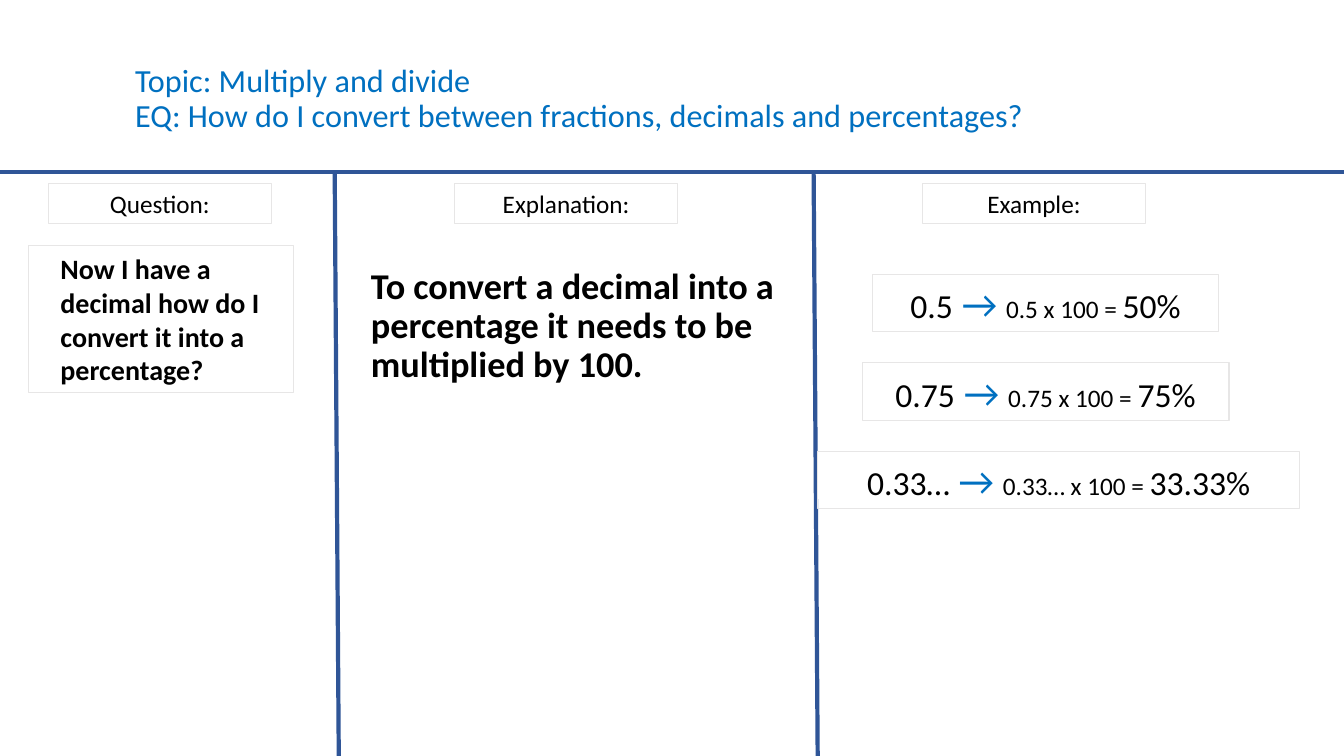
from dataclasses import dataclass

import pptx
import pptx.dml.color
import pptx.enum.shapes
import pptx.enum.text
import pptx.oxml.ns
import pptx.util
from lxml import etree
from pptx.util import Inches

BLACK = pptx.dml.color.RGBColor(0x00, 0x00, 0x00)
TITLE_BLUE = pptx.dml.color.RGBColor(0x00, 0x70, 0xC0)
RULE_BLUE = pptx.dml.color.RGBColor(0x2F, 0x55, 0x97)
BORDER_GREY = pptx.dml.color.RGBColor(0xE7, 0xE6, 0xE6)
FONT = "Calibri"

HEADING_TOP, HEADING_WIDTH, HEADING_HEIGHT = 1.82, 2.21, 0.4
EXAMPLE_TOP, EXAMPLE_PITCH, EXAMPLE_HEIGHT = 2.72, 0.88, 0.57

MIDDLE = pptx.enum.text.MSO_ANCHOR.MIDDLE
LEFT = pptx.enum.text.PP_ALIGN.LEFT
CENTER = pptx.enum.text.PP_ALIGN.CENTER


@dataclass
class Heading:
    text: str
    left: float


@dataclass
class Rule:
    start: tuple[float, float]
    end: tuple[float, float]


@dataclass
class Example:
    decimal: str
    percentage: str
    left: float
    width: float


HEADINGS = [
    Heading("Question:", 0.48),
    Heading("Explanation:", 4.51),
    Heading("Example:", 9.15),
]
RULES = [
    Rule((0, 1.71), (13.33, 1.71)),
    Rule((3.32, 1.72), (3.36, 7.5)),
    Rule((8.07, 1.72), (8.11, 7.5)),
]
EXAMPLES = [
    Example("0.5", "50%", 8.65, 3.44),
    Example("0.75", "75%", 8.55, 3.64),
    Example("0.33…", "33.33%", 8.11, 4.78),
]


def add_run(paragraph, text: str, size: float, color=BLACK, bold: bool = False) -> None:
    run = paragraph.add_run()
    run.text = text
    run.font.name = FONT
    run.font.size = pptx.util.Pt(size)
    run.font.color.rgb = color
    run.font.bold = bold


def add_rule(slide, rule: Rule) -> None:
    connector = slide.shapes.add_connector(
        pptx.enum.shapes.MSO_CONNECTOR.STRAIGHT,
        *map(Inches, rule.start + rule.end),
    )
    connector.line.color.rgb = RULE_BLUE
    connector.line.width = pptx.util.Pt(3)
    properties = connector._element.spPr
    etree.SubElement(properties, pptx.oxml.ns.qn("a:effectLst"))


def add_box(slide, left: float, top: float, width: float, height: float,
            alignment=CENTER, wrap: bool = False):
    """Add an outlined box and return its first paragraph."""
    shape = slide.shapes.add_shape(
        pptx.enum.shapes.MSO_SHAPE.RECTANGLE,
        Inches(left), Inches(top), Inches(width), Inches(height),
    )
    shape.shadow.inherit = False
    shape.fill.background()
    shape.line.color.rgb = BORDER_GREY
    shape.line.width = pptx.util.Pt(0.75)
    frame = shape.text_frame
    frame.word_wrap = wrap
    frame.vertical_anchor = MIDDLE
    paragraph = frame.paragraphs[0]
    paragraph.alignment = alignment
    return paragraph


def add_title(slide) -> None:
    title = slide.shapes.title
    title.left, title.top = Inches(1.24), Inches(0.38)
    title.width, title.height = Inches(10.85), Inches(1.22)
    frame = title.text_frame
    frame.auto_size = pptx.enum.text.MSO_AUTO_SIZE.NONE
    frame.vertical_anchor = MIDDLE
    paragraph = frame.paragraphs[0]
    paragraph.alignment = LEFT
    paragraph.line_spacing = 0.9
    add_run(paragraph, "Topic: Multiply and divide", 23, TITLE_BLUE)
    paragraph.add_line_break()
    add_run(
        paragraph,
        "EQ: How do I convert between fractions, decimals and percentages?",
        23, TITLE_BLUE,
    )


def add_explanation(slide) -> None:
    text_box = slide.shapes.add_textbox(
        Inches(3.53), Inches(2.61), Inches(4.27), Inches(1.56)
    )
    frame = text_box.text_frame
    frame.word_wrap = True
    frame.margin_left = Inches(0.15)
    paragraph = frame.paragraphs[0]
    paragraph.line_spacing = 0.9
    add_run(
        paragraph,
        "To convert a decimal into a percentage it needs to be multiplied by 100.",
        25.9, bold=True,
    )


def add_question(slide) -> None:
    paragraph = add_box(slide, 0.28, 2.44, 2.63, 1.45, LEFT, wrap=True)
    frame = slide.shapes[-1].text_frame
    frame.margin_left = Inches(0.32)
    frame.margin_right = Inches(0.2)
    add_run(
        paragraph,
        "Now I have a decimal how do I convert it into a percentage?",
        20, bold=True,
    )


def add_example(slide, example: Example, top: float) -> None:
    paragraph = add_box(slide, example.left, top, example.width, EXAMPLE_HEIGHT)
    add_run(paragraph, example.decimal, 24)
    add_run(paragraph, " → ", 28, TITLE_BLUE)
    add_run(paragraph, f"{example.decimal} x 100 = ", 18)
    add_run(paragraph, example.percentage, 24)


def main() -> None:
    presentation = pptx.Presentation()
    presentation.slide_width = Inches(13.33)
    presentation.slide_height = Inches(7.5)
    slide = presentation.slides.add_slide(presentation.slide_layouts[5])

    # Title and explanation
    add_title(slide)
    add_explanation(slide)

    # Rules between the columns
    for rule in RULES:
        add_rule(slide, rule)

    # Question and column headings
    add_question(slide)
    for heading in HEADINGS:
        paragraph = add_box(
            slide, heading.left, HEADING_TOP, HEADING_WIDTH, HEADING_HEIGHT
        )
        add_run(paragraph, heading.text, 18)

    # Worked examples
    for row, example in enumerate(EXAMPLES):
        add_example(slide, example, EXAMPLE_TOP + row * EXAMPLE_PITCH)

    presentation.save("out.pptx")


if __name__ == "__main__":
    main()
